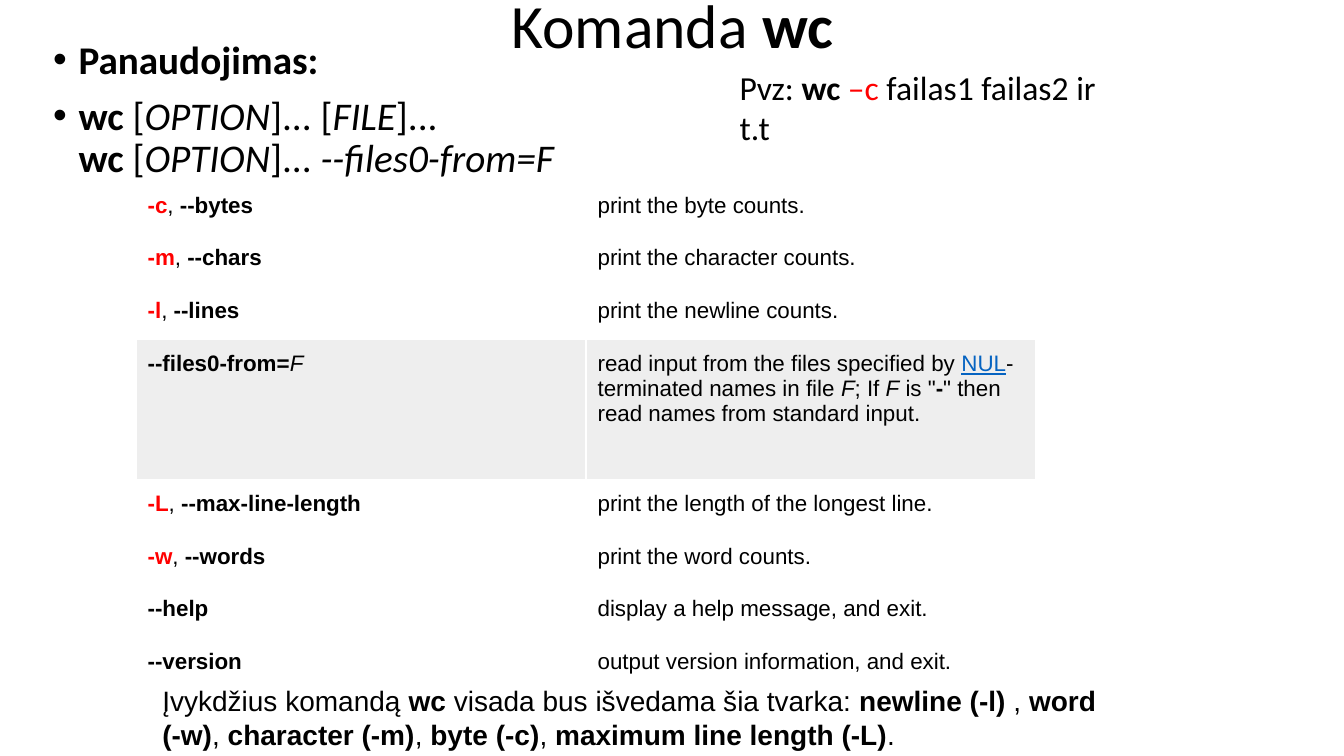
from lxml.etree import SubElement
from pptx import Presentation
from pptx.dml.color import RGBColor
from pptx.enum.text import MSO_ANCHOR, PP_ALIGN
from pptx.oxml.ns import qn
from pptx.util import Cm, Pt

BLACK, RED, LINK_BLUE = "000000", "FF0000", "0563C1"
WHITE, GREY = "FFFFFF", "EEEEEE"
BOLD = {"bold": True}
ITALIC = {"italic": True}
OPTION_RED = {"bold": True, "color": RED}
LINK = {"underline": True, "color": LINK_BLUE}

TITLE = ["Komanda ", ("wc", BOLD)]
OPTION = ["\u00a0[", ("OPTION", ITALIC), "]..."]
USAGE = [
    [("Panaudojimas:", BOLD)],
    [("wc", BOLD), *OPTION, " [", ("FILE", ITALIC), "]...", "\n",
     ("wc", BOLD), *OPTION, "\u00a0", ("--files0-from=F", ITALIC)],
]
EXAMPLE = ["Pvz: ", ("wc ", BOLD), ("–c ", {"color": RED}), "failas1 failas2 ir t.t"]
FILES_HELP = [
    "read input from the files specified by\u00a0", ("NUL", LINK),
    "-terminated names in file\u00a0", ("F", ITALIC), "; If\u00a0", ("F", ITALIC),
    "\u00a0is \"", ("-", BOLD), "\" then read names from standard input.",
]
NOTE = [
    "Įvykdžius komandą ", ("wc", BOLD), " visada bus išvedama šia tvarka:\u00a0",
    ("newline (-l) ", BOLD), ",\u00a0", ("word (-w)", BOLD), ",\u00a0",
    ("character (-m)", BOLD), ",\u00a0", ("byte (-c)", BOLD), ",\u00a0",
    ("maximum line length (-L)", BOLD), ".",
]


def option_name(short, long):
    """Return the runs of an option with a short and a long form."""
    return [(short, OPTION_RED), ",\u00a0", (long, BOLD)]


OPTIONS = [
    (option_name("-c", "--bytes"), ["print the byte counts."]),
    (option_name("-m", "--chars"), ["print the character counts."]),
    (option_name("-l", "--lines"), ["print the newline counts."]),
    ([("--files0-from=", BOLD), ("F", ITALIC)], FILES_HELP),
    (option_name("-L", "--max-line-length"), ["print the length of the longest line."]),
    (option_name("-w", "--words"), ["print the word counts."]),
    ([("--help", BOLD)], ["display a help message, and exit."]),
    ([("--version", BOLD)], ["output version information, and exit."]),
]
FILES_ROW = 3


def color(hex_value):
    """Turn a hex string into a colour."""
    return RGBColor.from_string(hex_value)


def set_attributes(target, values):
    """Set every attribute named in a dict of format values."""
    for name, value in values.items():
        setattr(target, name, value)


def write_runs(paragraph, runs, font_name, size):
    """Fill a paragraph with plain strings and (text, format) pairs."""
    for item in runs:
        text, style = (item, {}) if isinstance(item, str) else item
        if text == "\n":
            paragraph.add_line_break()
            continue
        run = paragraph.add_run()
        run.text = text
        values = {"name": font_name, "size": Pt(size), **style}
        run.font.color.rgb = color(values.pop("color", BLACK))
        set_attributes(run.font, values)


def add_text(slide, box, paragraphs, font_name, size, paragraph_format=None,
             anchor=MSO_ANCHOR.TOP):
    """Add a wrapping text box and return its paragraphs."""
    frame = slide.shapes.add_textbox(*map(Cm, box)).text_frame
    set_attributes(frame, {"word_wrap": True, "vertical_anchor": anchor})
    for index, runs in enumerate(paragraphs):
        paragraph = frame.add_paragraph() if index else frame.paragraphs[0]
        set_attributes(paragraph, paragraph_format or {})
        write_runs(paragraph, runs, font_name, size)
    return frame.paragraphs


def add_title(slide, box):
    """Add the centred slide title."""
    add_text(slide, box, [TITLE], "Calibri", 44,
             {"alignment": PP_ALIGN.CENTER, "line_spacing": 0.9}, MSO_ANCHOR.MIDDLE)


def add_usage(slide, box):
    """Add the bulleted usage lines with a hanging indent."""
    spacing = {"line_spacing": 0.9, "space_before": Pt(10)}
    for paragraph in add_text(slide, box, USAGE, "Calibri", 28, spacing):
        properties = paragraph._p.get_or_add_pPr()
        properties.set("marL", str(Cm(0.64)))
        properties.set("indent", str(-Cm(0.64)))
        SubElement(properties, qn("a:buFont"), typeface="Arial")
        SubElement(properties, qn("a:buChar"), char="•")


def add_options(slide, box):
    """Add the option table; the files row takes the height left over."""
    left, top, width, height = box
    row_height = 1.33
    files_height = height - row_height * (len(OPTIONS) - 1)
    table = slide.shapes.add_table(len(OPTIONS), 2, *map(Cm, box)).table
    set_attributes(table, {"first_row": False, "horz_banding": False})
    margins = {f"margin_{side}": Cm(0.29) for side in ("left", "right", "top", "bottom")}
    for column in table.columns:
        column.width = Cm(width / 2)
    for row_index, (row, contents) in enumerate(zip(table.rows, OPTIONS)):
        is_files = row_index == FILES_ROW
        row.height = Cm(files_height if is_files else row_height)
        for cell, runs in zip(row.cells, contents):
            set_attributes(cell, margins)
            cell.fill.solid()
            cell.fill.fore_color.rgb = color(GREY if is_files else WHITE)
            write_runs(cell.text_frame.paragraphs[0], runs, "Arial", 16)


def add_note(slide, box):
    """Add the remark on output order below the table."""
    add_text(slide, box, [NOTE], "Arial", 20, {"space_before": Pt(6)}, MSO_ANCHOR.MIDDLE)


def add_example(slide, box):
    """Add the example command."""
    add_text(slide, box, [EXAMPLE], "Calibri", 24)


def build():
    """Build the slide and save it."""
    presentation = Presentation()
    set_attributes(presentation, {"slide_width": Cm(33.87), "slide_height": Cm(19.05)})
    slide = presentation.slides.add_slide(presentation.slide_layouts[6])
    add_title(slide, (2.34, -1.12, 29.21, 3.68))
    add_usage(slide, (1.09, 0.89, 29.21, 13.54))
    add_options(slide, (3.43, 4.57, 22.68, 12.84))
    add_note(slide, (3.84, 17.09, 24.36, 1.96))
    add_example(slide, (18.39, 1.55, 9.83, 2.31))
    presentation.save("out.pptx")


build()
